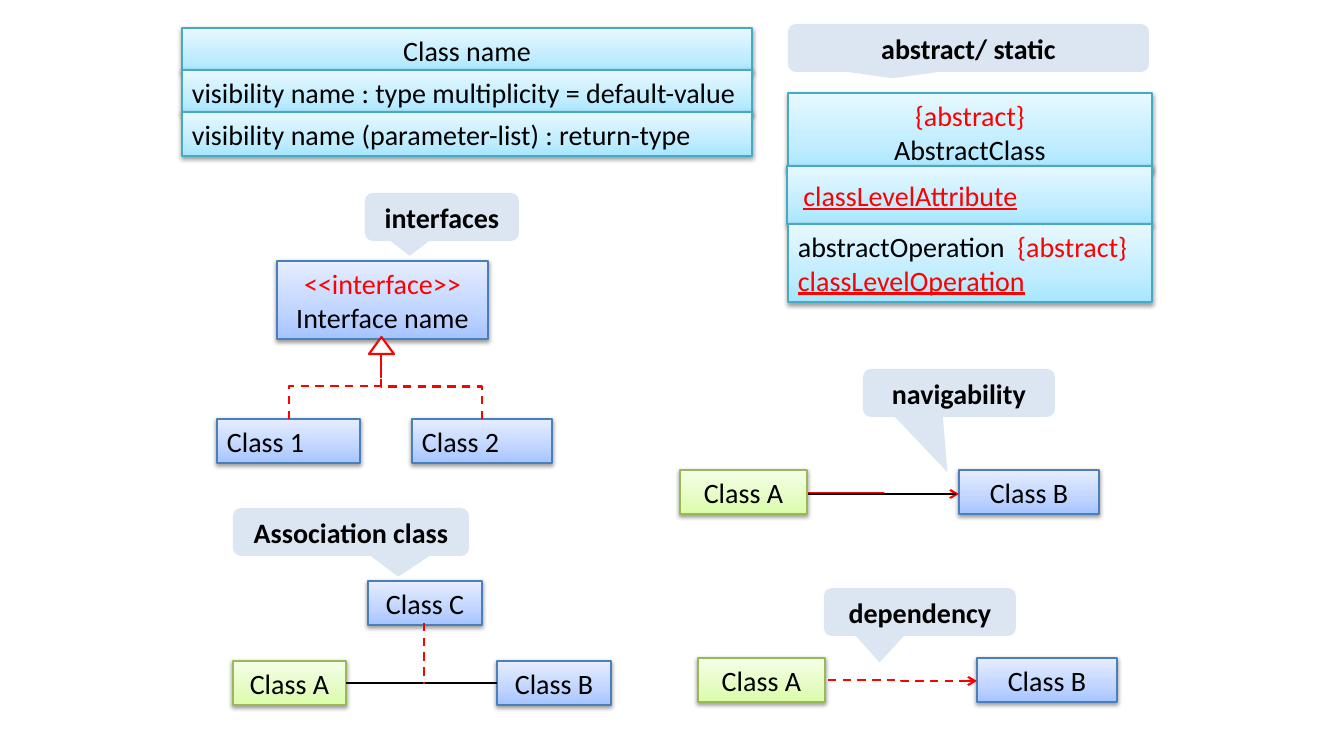
import copy
import dataclasses
import typing

import lxml.etree
import pptx
import pptx.dml.color
import pptx.enum.dml
import pptx.enum.shapes
import pptx.enum.text
import pptx.oxml.ns
import pptx.util

SCALE = 914400 / 100.8
FORM = pptx.enum.shapes.MSO_SHAPE
LEFT, MID = pptx.enum.text.PP_ALIGN.LEFT, pptx.enum.text.PP_ALIGN.CENTER
QN = pptx.oxml.ns.qn


@dataclasses.dataclass(frozen=True)
class Tone:
    """Edge colour and fill stops of a box, from bottom to top."""
    edge: str
    stops: tuple[str, str, str]


@dataclasses.dataclass(frozen=True)
class Theme:
    """Colours and type sizes of the slide."""
    font: str = "Calibri"
    size: float = 20
    line: float = 1.5
    ink: str = "000000"
    red: str = "FF0000"
    white: str = "FFFFFF"
    note: str = "DCE6F2"
    aqua: Tone = Tone("46AAC5", ("A7E6FF", "C1EDFF", "E7F8FF"))
    blue: Tone = Tone("4B7EBC", ("A4C4FF", "BFD4FF", "E6EEFF"))
    green: Tone = Tone("98B955", ("DAFDA7", "E4FCC2", "F5FFE7"))


LOOK = Theme()


class Run(typing.NamedTuple):
    """A piece of text; a line break may follow it."""
    text: str
    color: str = LOOK.ink
    under: bool = False
    bold: bool = False
    wrap: bool = False


class Box(typing.NamedTuple):
    """A class box, with its paragraphs given as lists of runs."""
    tone: Tone
    x: int
    y: int
    w: int
    h: int
    text: list[list[Run]]
    align: typing.Any = MID


class Note(typing.NamedTuple):
    """A callout with the place of its tip."""
    x: int
    y: int
    w: int
    text: str
    tip: tuple[float, float]


class Wire(typing.NamedTuple):
    """A line from start to end; bend is '', 'flat' or 'up'."""
    x1: int
    y1: int
    x2: int
    y2: int
    color: str
    dash: bool = False
    bend: str = ""
    head: bool = False


def px(*vals: float) -> list[int]:
    """Turn pixels into EMU."""
    return [round(v * SCALE) for v in vals]


def rgb(code: str) -> pptx.dml.color.RGBColor:
    """Read a hex colour."""
    return pptx.dml.color.RGBColor.from_string(code)


def apply(thing: typing.Any, form: dict[str, typing.Any]) -> None:
    """Set each format value on a thing."""
    for name, val in form.items():
        setattr(thing, name, val)


def stroke(line: typing.Any, color: str, dash: bool = False) -> None:
    """Give a line its colour, width and dash."""
    line.color.rgb = rgb(color)
    form = {"width": pptx.util.Pt(LOOK.line)}
    if dash:
        form["dash_style"] = pptx.enum.dml.MSO_LINE.DASH
    apply(line, form)


def shape(slide: typing.Any, kind: typing.Any, *area: int) -> typing.Any:
    """Add a preset shape without a shadow."""
    item = slide.shapes.add_shape(kind, *px(*area))
    item.shadow.inherit = False
    return item


def write(item: typing.Any, text: list[list[Run]], align: typing.Any) -> None:
    """Put paragraphs of runs into a shape."""
    frame = item.text_frame
    frame.word_wrap = True
    for i, runs in enumerate(text):
        para = frame.add_paragraph() if i else frame.paragraphs[0]
        para.alignment = align
        for run in runs:
            part = para.add_run()
            part.text = run.text
            part.font.color.rgb = rgb(run.color)
            apply(part.font, {"name": LOOK.font, "size": pptx.util.Pt(LOOK.size),
                              "bold": run.bold, "underline": run.under})
            if run.wrap:
                para.add_line_break()


def draw_box(slide: typing.Any, box: Box) -> None:
    """Draw a shaded class box with a soft shadow."""
    item = shape(slide, FORM.RECTANGLE, box.x, box.y, box.w, box.h)
    item.fill.gradient()
    item.fill.gradient_angle = 90
    stops = item._element.spPr.find(".//" + QN("a:gsLst"))
    stops.insert(1, copy.deepcopy(stops[0]))
    for stop, color, place in zip(item.fill.gradient_stops, box.tone.stops, (0, 0.35, 1)):
        stop.color.rgb = rgb(color)
        stop.position = place
    stroke(item.line, box.tone.edge)
    shade = lxml.etree.SubElement(
        item._element.spPr.find(QN("a:effectLst")), QN("a:outerShdw"),
        {"blurRad": "40000", "dist": "20000", "dir": "5400000", "rotWithShape": "0"})
    color = lxml.etree.SubElement(shade, QN("a:srgbClr"), {"val": LOOK.ink})
    lxml.etree.SubElement(color, QN("a:alpha"), {"val": "38000"})
    write(item, box.text, box.align)


def draw_note(slide: typing.Any, note: Note) -> None:
    """Draw a callout with a bold label."""
    item = shape(slide, FORM.ROUNDED_RECTANGULAR_CALLOUT, note.x, note.y, note.w, 48)
    for i, val in enumerate(note.tip):
        item.adjustments[i] = val
    item.fill.solid()
    item.fill.fore_color.rgb = rgb(LOOK.note)
    item.line.fill.background()
    write(item, [[Run(note.text, bold=True)]], MID)


def draw_wire(slide: typing.Any, wire: Wire) -> None:
    """Draw a straight or bent line; an 'up' bend is a quarter turn."""
    ends = wire[:4]
    if wire.bend == "up":
        mx, my = (wire.x1 + wire.x2) / 2, (wire.y1 + wire.y2) / 2
        dx, dy = (wire.x2 - wire.x1) / 2, (wire.y2 - wire.y1) / 2
        ends = (mx - dy, my + dx, mx + dy, my - dx)
    kinds = pptx.enum.shapes.MSO_CONNECTOR
    kind = kinds.ELBOW if wire.bend else kinds.STRAIGHT
    item = slide.shapes.add_connector(kind, *px(*ends))
    stroke(item.line, wire.color, wire.dash)
    props = item._element.spPr
    if wire.bend == "up":
        props.find(QN("a:xfrm")).set("rot", "5400000")
    if wire.head:
        lxml.etree.SubElement(props.find(QN("a:ln")), QN("a:headEnd"), {"type": "arrow"})
    lxml.etree.SubElement(props, QN("a:effectLst"))


def plain(tone: Tone, x: int, y: int, w: int, text: str, align: typing.Any = MID) -> Box:
    """Make a box of one line."""
    return Box(tone, x, y, w, 44, [[Run(text)]], align)


def pair(x: int, y: int) -> list[Box]:
    """Make Class A and Class B side by side."""
    return [plain(LOOK.green, x, y, 127, "Class A"), plain(LOOK.blue, x + 279, y, 140, "Class B")]


AQUA, BLUE, GREEN, RED = LOOK.aqua, LOOK.blue, LOOK.green, LOOK.red
ROWS = [("Class name", MID), ("visibility name : type multiplicity = default-value", LEFT),
        ("visibility name (parameter-list) : return-type", LEFT)]
BOXES = [
    *(plain(AQUA, 182, 28 + 42 * i, 570, text, align) for i, (text, align) in enumerate(ROWS)),
    Box(AQUA, 788, 93, 364, 78, [[Run("{abstract}", RED, wrap=True), Run("AbstractClass")]]),
    Box(AQUA, 787, 166, 365, 58, [[Run(" "), Run("classLevelAttribute", RED, True)]], LEFT),
    Box(AQUA, 788, 224, 364, 78, [[Run("abstractOperation  "), Run("{abstract}", RED)],
                                  [Run("classLevelOperation", RED, True)]], LEFT),
    Box(BLUE, 277, 261, 211, 78, [[Run("<<interface>>", RED, wrap=True), Run("Interface name")]]),
    plain(BLUE, 217, 419, 143, "Class 1", LEFT), plain(BLUE, 412, 419, 140, "Class 2", LEFT),
    *pair(680, 470), *pair(698, 658),
    plain(GREEN, 233, 661, 113, "Class A"), plain(BLUE, 497, 661, 114, "Class B"),
    plain(BLUE, 368, 581, 114, "Class C"),
]
WIRES = [
    *(Wire(x, 419, 381, 354, RED, True, "up") for x in (289, 482)),
    Wire(959, 494, 808, 493, RED, False, "flat", True), Wire(808, 494, 956, 494, LOOK.ink),
    Wire(977, 681, 826, 680, RED, True, "flat", True),
    Wire(346, 683, 497, 683, LOOK.ink), Wire(424, 623, 424, 684, RED, True),
]
NOTES = [
    Note(365, 193, 154, "interfaces", (-0.21, 0.81)),
    Note(788, 24, 361, "abstract/ static", (-0.21, 0.63)),
    Note(863, 369, 192, "navigability", (-0.06, 1.65)),
    Note(824, 588, 192, "dependency", (-0.21, 1.05)),
    Note(233, 508, 236, "Association class", (0.2, 0.93)),
]

deck = pptx.Presentation()
apply(deck, dict(zip(("slide_width", "slide_height"), px(1344, 756))))
page = deck.slides.add_slide(deck.slide_layouts[6])
for box in BOXES:
    draw_box(page, box)
tip = shape(page, FORM.ISOSCELES_TRIANGLE, 369, 337, 25, 17)
tip.fill.solid()
tip.fill.fore_color.rgb = rgb(LOOK.white)
stroke(tip.line, RED)
for wire in WIRES:
    draw_wire(page, wire)
for note in NOTES:
    draw_note(page, note)
deck.save("out.pptx")
